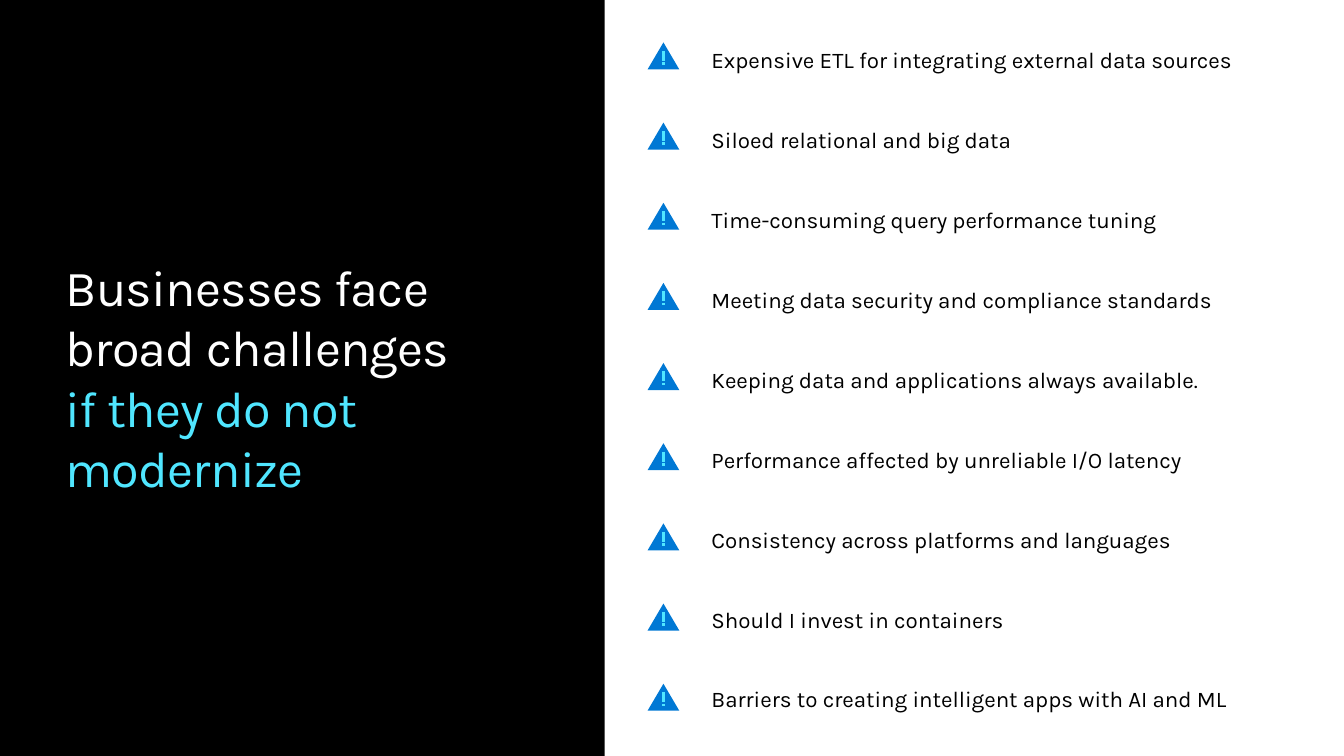
from pptx import Presentation
from pptx.dml.color import RGBColor
from pptx.enum.shapes import MSO_CONNECTOR as Connector, MSO_SHAPE as Shape
from pptx.enum.text import MSO_ANCHOR as Anchor
from pptx.oxml.ns import qn
from pptx.util import Cm, Pt
from lxml.etree import SubElement

TITLE = [
    (["Businesses face", "broad challenges", ""], "white"),
    (["if they do not modernize"], "cyan"),
]
CHALLENGES = [
    "Expensive ETL for integrating external data sources",
    "Siloed relational and big data",
    "Time-consuming query performance tuning",
    "Meeting data security and compliance standards",
    "Keeping data and applications always available.",
    "Performance affected by unreliable I/O latency",
    "Consistency across platforms and languages",
    "Should I invest in containers",
    "Barriers to creating intelligent apps with AI and ML",
]
COLORS = {"black": "000000", "white": "FFFFFF", "blue": "0078D4", "cyan": "50E6FF"}
FONT = "Karla"
SLIDE_W, SLIDE_H, PANEL_W = 33.87, 19.05, 15.24
WARNING_X, WARNING_Y, WARNING_PITCH = 16.32, 1.07, 2.02
WARNING_W, WARNING_H = 0.8, 0.68
MARK_STROKES = [(0.21, 0.46), (0.5, 0.56)]


def color(name):
    return RGBColor.from_string(COLORS[name])


def add_filled(shapes, kind, box, fill):
    shape = shapes.add_shape(kind, *map(Cm, box))
    shape.shadow.inherit = False
    shape.fill.solid()
    shape.fill.fore_color.rgb = color(fill)
    shape.line.fill.background()


def add_frame(slide, box, anchor):
    frame = slide.shapes.add_textbox(*map(Cm, box)).text_frame
    frame.word_wrap = True
    frame.vertical_anchor = anchor
    frame.margin_left = frame.margin_right = frame.margin_top = frame.margin_bottom = 0
    return frame


def add_run(paragraph, text, size, fill):
    run = paragraph.add_run()
    run.text = text
    run.font.name = FONT
    run.font.size = Pt(size)
    run.font.color.rgb = color(fill)
    return run


def add_title(slide):
    paragraph = add_frame(slide, (1.65, 6.45, 12.14, 6.15), Anchor.TOP).paragraphs[0]
    for lines, fill in TITLE:
        for index, line in enumerate(lines):
            if index:
                paragraph.add_line_break()
            if line:
                run = add_run(paragraph, line, 36, fill)
                run.font._element.set("spc", "-50")
    for line_break in paragraph._p.findall(qn("a:br")):
        SubElement(line_break, qn("a:rPr"), sz="3600")


def add_challenges(slide):
    frame = add_frame(slide, (17.93, 1.04, 14.94, 16.97), Anchor.MIDDLE)
    for index, challenge in enumerate(CHALLENGES):
        paragraph = frame.add_paragraph() if index else frame.paragraphs[0]
        paragraph.line_spacing = 1.1
        paragraph.space_before = Pt(18 if index else 0)
        paragraph.space_after = Pt(18)
        add_run(paragraph, challenge, 16, "black")


def add_warning(slide, top):
    warning = slide.shapes.add_group_shape().shapes
    add_filled(warning, Shape.ISOSCELES_TRIANGLE, (WARNING_X, top, WARNING_W, WARNING_H), "blue")
    center = Cm(WARNING_X + WARNING_W / 2)
    for start, end in MARK_STROKES:
        stroke = warning.add_connector(
            Connector.STRAIGHT, center, Cm(top + start), center, Cm(top + end))
        stroke.line.color.rgb = color("cyan")
        stroke.line.width = Pt(2)
        SubElement(stroke._element.spPr, qn("a:effectLst"))


def main():
    """Build the slide on the challenges of not modernizing."""
    deck = Presentation()
    deck.slide_width, deck.slide_height = Cm(SLIDE_W), Cm(SLIDE_H)
    slide = deck.slides.add_slide(deck.slide_layouts[6])
    slide.background.fill.solid()
    slide.background.fill.fore_color.rgb = color("white")
    add_filled(slide.shapes, Shape.RECTANGLE, (0, 0, PANEL_W, SLIDE_H), "black")
    add_challenges(slide)
    add_title(slide)
    for index in range(len(CHALLENGES)):
        add_warning(slide, WARNING_Y + index * WARNING_PITCH)
    deck.save("out.pptx")


if __name__ == "__main__":
    main()
